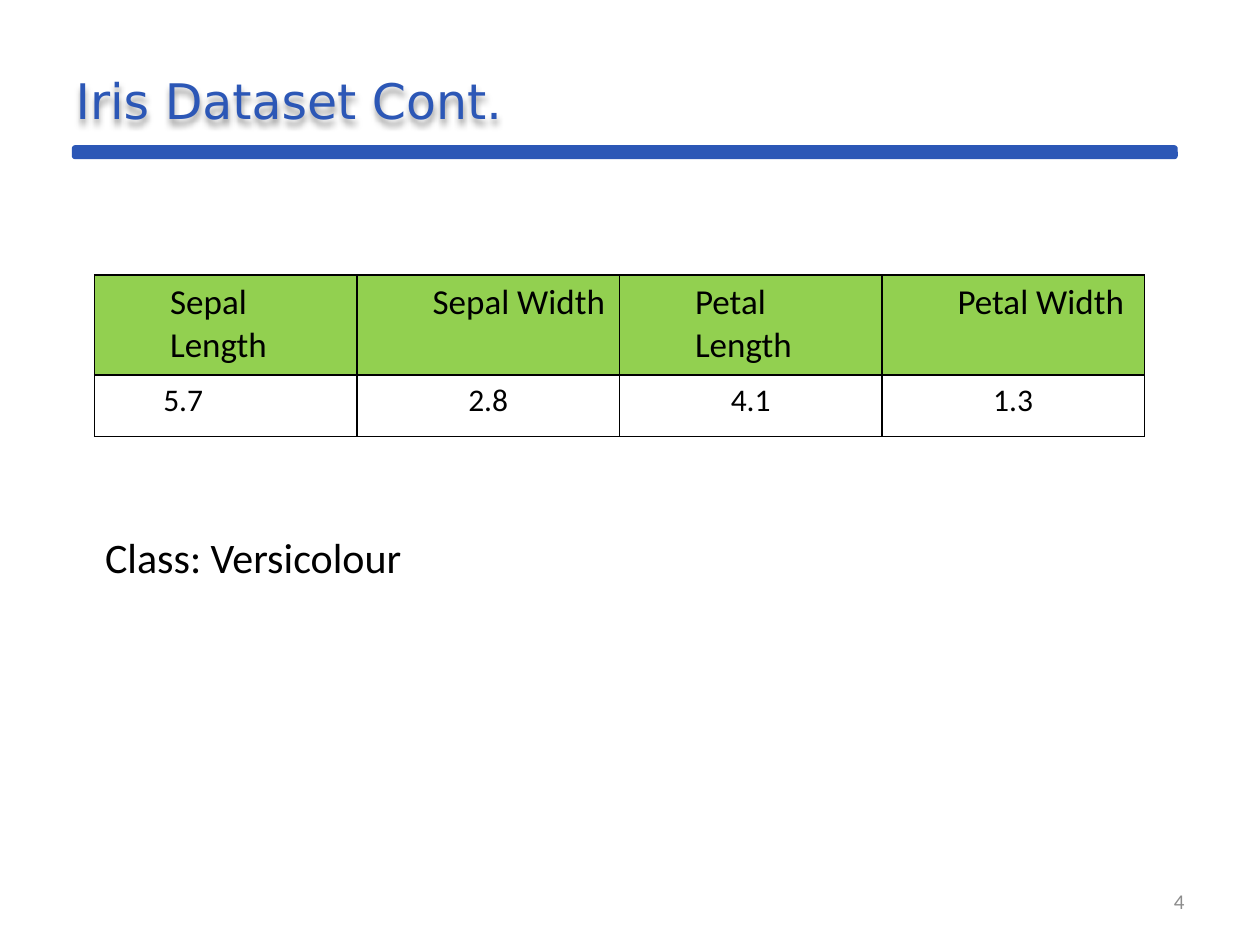
from lxml.etree import SubElement
from pptx import Presentation
from pptx.dml.color import RGBColor
from pptx.enum.shapes import MSO_SHAPE
from pptx.enum.text import MSO_ANCHOR, MSO_AUTO_SIZE, PP_ALIGN
from pptx.oxml import parse_xml
from pptx.oxml.ns import nsdecls, qn
from pptx.util import Inches, Pt

BLUE = RGBColor(0x2C, 0x57, 0xB6)
GREEN = RGBColor(0x92, 0xD0, 0x50)
GRAY = RGBColor(0x8C, 0x8C, 0x8C)
BLACK = RGBColor(0, 0, 0)

presentation = Presentation()
presentation.slide_width = Inches(10)
presentation.slide_height = Inches(7.5)
COLUMN = presentation.slide_width // 120
ROW = presentation.slide_height // 90

slide = presentation.slides.add_slide(presentation.slide_layouts[1])


def grid(left, top, width, height):
    return [int(left * COLUMN), int(top * ROW), int(width * COLUMN), int(height * ROW)]


def write(frame, text, size, color=BLACK, font="Calibri", align=PP_ALIGN.LEFT, anchor=MSO_ANCHOR.TOP):
    frame.word_wrap = True
    frame.auto_size = MSO_AUTO_SIZE.NONE
    frame.vertical_anchor = anchor
    paragraph = frame.paragraphs[0]
    paragraph.alignment = align
    paragraph.space_before = Pt(0)
    run = paragraph.add_run()
    run.text = text
    run.font.size = Pt(size)
    run.font.name = font
    run.font.bold = False
    run.font.color.rgb = color
    return paragraph


title = slide.shapes.title
title.left, title.top, title.width, title.height = grid(6, 2, 108, 15)
write(title.text_frame, "Iris Dataset Cont.", 28, color=BLUE, font="DejaVu Sans", anchor=MSO_ANCHOR.MIDDLE)
title._element.spPr.append(parse_xml(
    f'<a:effectLst {nsdecls("a")}><a:outerShdw blurRad="38100" dist="38100" dir="5400000">'
    '<a:srgbClr val="000000"><a:alpha val="40000"/></a:srgbClr></a:outerShdw></a:effectLst>'
))

number = slide.shapes.add_textbox(*grid(86, 83.4, 28, 4.8))
write(number.text_frame, "4", 12, color=GRAY, align=PP_ALIGN.RIGHT, anchor=MSO_ANCHOR.MIDDLE)

bar = slide.shapes.add_shape(MSO_SHAPE.ROUNDED_RECTANGLE, *grid(7, 14, 105, 1))
bar.shadow.inherit = False
bar.fill.solid()
bar.fill.fore_color.rgb = BLUE
bar.line.color.rgb = BLUE
bar.line.width = Pt(2)

measurements = [
    ("Sepal Length", "5.7"),
    ("Sepal Width", "2.8"),
    ("Petal Length", "4.1"),
    ("Petal Width", "1.3"),
]
table = slide.shapes.add_table(2, len(measurements), *grid(9, 26.2, 100, 15.4)).table
table.horz_banding = False
table.rows[0].height = int(9.5 * ROW)
table.rows[1].height = int(5.9 * ROW)

for column_index, (heading, value) in enumerate(measurements):
    table.columns[column_index].width = 25 * COLUMN
    for row_index in range(2):
        cell = table.cell(row_index, column_index)
        properties = cell._tc.get_or_add_tcPr()
        for side in ("a:lnL", "a:lnR", "a:lnT", "a:lnB"):
            border = SubElement(properties, qn(side), w=str(Pt(1)))
            SubElement(SubElement(border, qn("a:solidFill")), qn("a:srgbClr"), val=str(BLACK))
        if row_index == 0:
            cell.fill.solid()
            cell.fill.fore_color.rgb = GREEN
            paragraph = write(cell.text_frame, heading, 20)
            paragraph._p.get_or_add_pPr().set("marL", str(6 * COLUMN))
        else:
            cell.fill.background()
            write(cell.text_frame, value, 18, align=PP_ALIGN.CENTER)
table.cell(1, 0).margin_right = int(9.3 * COLUMN)

body = slide.placeholders[1]
body.left, body.top, body.width, body.height = grid(6, 38.6, 103, 46.4)
body.text_frame.margin_left = 4 * COLUMN
body.text_frame.margin_top = 12 * ROW
paragraph = write(body.text_frame, "Class: Versicolour", 24)
paragraph_properties = paragraph._p.get_or_add_pPr()
paragraph_properties.set("marL", "0")
paragraph_properties.set("indent", "0")
SubElement(paragraph_properties, qn("a:buNone"))

presentation.save("out.pptx")
